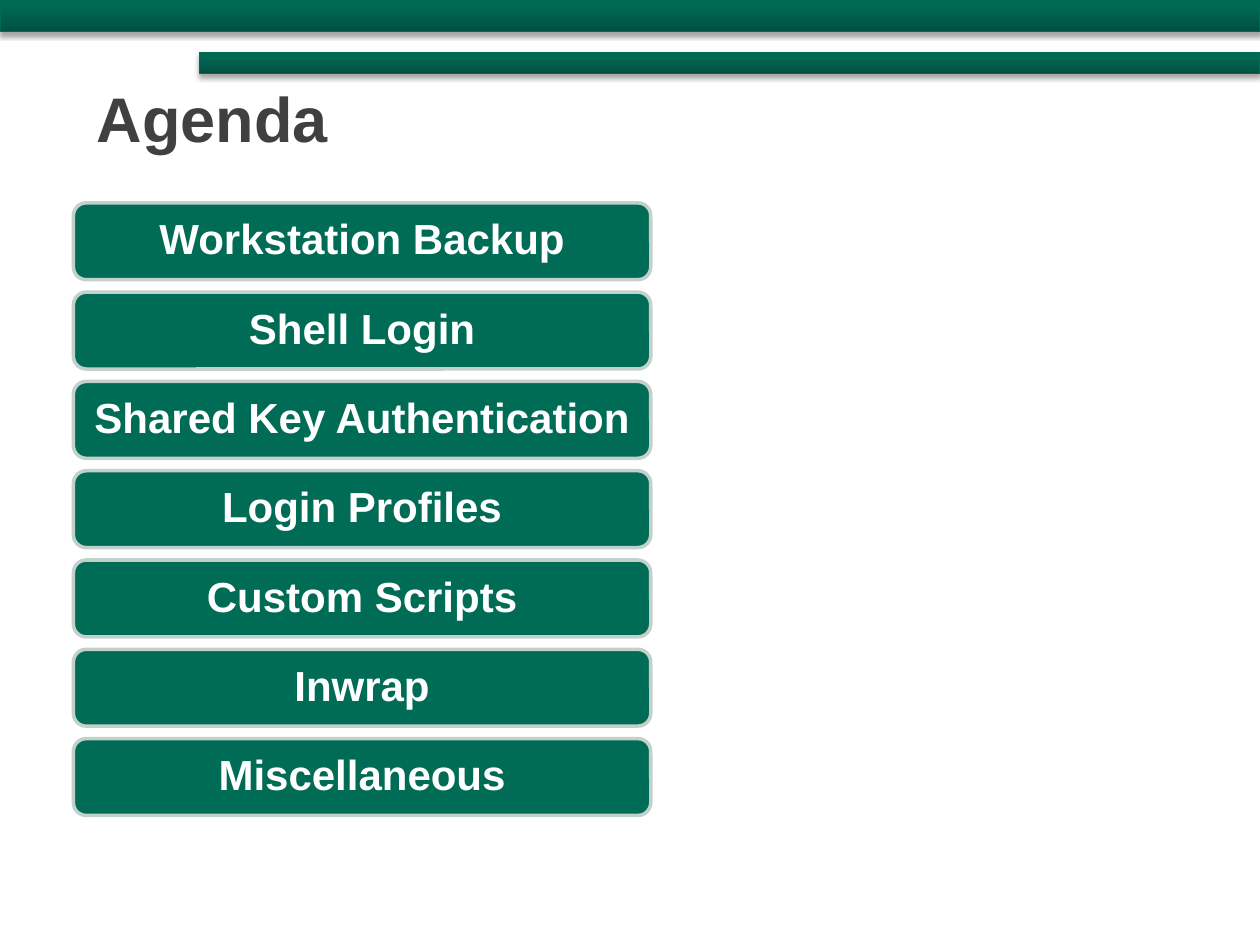
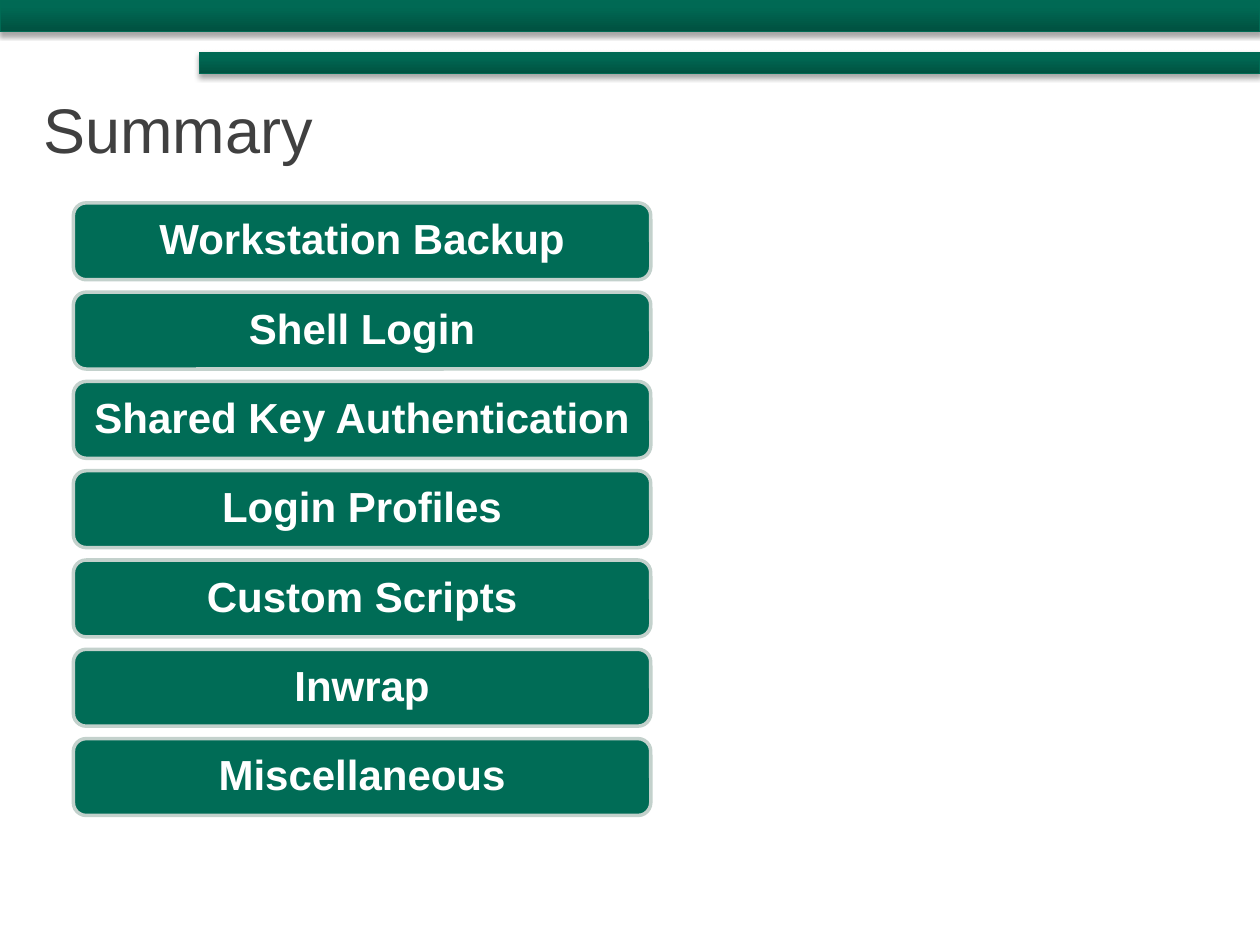
from dataclasses import dataclass

import pptx
import pptx.dml.color
import pptx.enum.shapes
import pptx.enum.text
import pptx.oxml
import pptx.oxml.ns
import pptx.util
from pptx.util import Cm


@dataclass(frozen=True)
class Theme:
    font: str = "Arial"
    title_size: int = 36
    topic_size: int = 24
    title_text: str = "404040"
    topic_text: str = "FFFFFF"
    topic_fill: str = "006C56"
    topic_edge: str = "C3D1CC"
    band_dark: str = "005140"
    band_light: str = "006954"
    band_edge: str = "006A54"


theme = Theme()
rgb = pptx.dml.color.RGBColor.from_string
shapes = pptx.enum.shapes.MSO_SHAPE

BAND_SHADOW = (
    f'<a:outerShdw {pptx.oxml.ns.nsdecls("a")} blurRad="39400" dist="22900" '
    'dir="5400000" rotWithShape="0"><a:srgbClr val="000000">'
    '<a:alpha val="35000"/></a:srgbClr></a:outerShdw>'
)


def add_text(paragraph, text, size, color, bold):
    run = paragraph.add_run()
    run.text = text
    run.font.name = theme.font
    run.font.size = pptx.util.Pt(size)
    run.font.bold = bold
    run.font.color.rgb = rgb(color)


def add_box(slide, preset, left, top, width, height, edge, edge_width):
    box = slide.shapes.add_shape(preset, Cm(left), Cm(top), Cm(width), Cm(height))
    box.line.color.rgb = rgb(edge)
    box.line.width = pptx.util.Pt(edge_width)
    box.shadow.inherit = False
    return box


# Content: both slides list the same topics under their own heading
topics = [
    "Workstation Backup",
    "Shell Login",
    "Shared Key Authentication",
    "Login Profiles",
    "Custom Scripts",
    "Inwrap",
    "Miscellaneous",
]
# heading, left, top, width, bold, wrap
headings = [
    ("Agenda", 1.7, 1.48, 5.28, True, True),
    ("Summary", 0.62, 1.7, 6.53, False, False),
]
# left, top, width, height
bands = [(4.02, 1.06, 21.38, 0.43), (0, 0, 25.4, 0.64)]
topic_left, topic_top, topic_width, topic_height = 1.48, 4.09, 11.64, 1.55
topic_pitch = 1.8

presentation = pptx.Presentation()
presentation.slide_width = Cm(25.4)
presentation.slide_height = Cm(19.05)
blank = presentation.slide_layouts[6]

for heading, left, top, width, bold, wrap in headings:
    slide = presentation.slides.add_slide(blank)

    # Header bands, dark at the bottom, with a soft shadow
    for place in bands:
        band = add_box(slide, shapes.RECTANGLE, *place, theme.band_edge, 0.75)
        band.fill.gradient()
        band.fill.gradient_angle = 90
        dark, light = band.fill.gradient_stops
        dark.color.rgb, dark.position = rgb(theme.band_dark), 0
        light.color.rgb, light.position = rgb(theme.band_light), 0.8
        effects = band._element.spPr.find(pptx.oxml.ns.qn("a:effectLst"))
        effects.append(pptx.oxml.parse_xml(BAND_SHADOW))

    # Heading
    title = slide.shapes.add_textbox(Cm(left), Cm(top), Cm(width), Cm(1.8)).text_frame
    title.word_wrap = wrap
    title.auto_size = pptx.enum.text.MSO_AUTO_SIZE.SHAPE_TO_FIT_TEXT
    add_text(title.paragraphs[0], heading, theme.title_size, theme.title_text, bold)

    # Topic stack
    for row, topic in enumerate(topics):
        button = add_box(slide, shapes.ROUNDED_RECTANGLE,
                         topic_left, topic_top + row * topic_pitch,
                         topic_width, topic_height, theme.topic_edge, 2)
        button.fill.solid()
        button.fill.fore_color.rgb = rgb(theme.topic_fill)
        label = button.text_frame
        label.word_wrap = True
        label.vertical_anchor = pptx.enum.text.MSO_ANCHOR.MIDDLE
        label.margin_left = label.margin_right = Cm(0.25)
        label.margin_top = label.margin_bottom = Cm(0.25)
        line = label.paragraphs[0]
        line.alignment = pptx.enum.text.PP_ALIGN.CENTER
        line.line_spacing = 0.9
        add_text(line, topic, theme.topic_size, theme.topic_text, True)

presentation.save("out.pptx")
